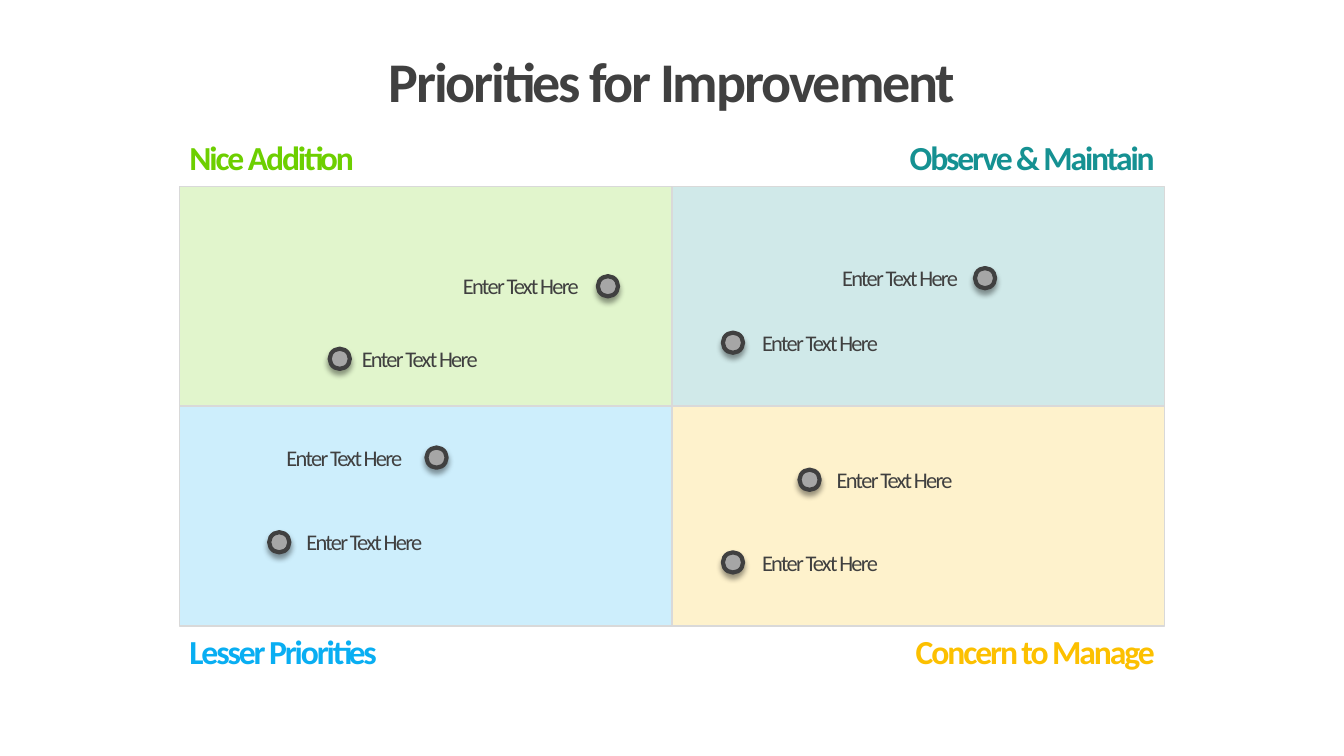
from dataclasses import dataclass

from lxml import etree
from pptx import Presentation
from pptx.dml.color import RGBColor
from pptx.enum.shapes import MSO_SHAPE
from pptx.enum.text import MSO_ANCHOR, MSO_AUTO_SIZE, PP_ALIGN
from pptx.oxml.ns import qn
from pptx.util import Inches, Pt

RECTANGLE, OVAL = MSO_SHAPE.RECTANGLE, MSO_SHAPE.OVAL
LEFT, CENTER, RIGHT = PP_ALIGN.LEFT, PP_ALIGN.CENTER, PP_ALIGN.RIGHT
TOP = MSO_ANCHOR.TOP
FIT_SHAPE = MSO_AUTO_SIZE.SHAPE_TO_FIT_TEXT
TITLE_ONLY = 5


@dataclass(frozen=True)
class Theme:
    font: str = "Calibri"
    ink: str = "404040"
    dot: str = "A6A6A6"
    border: str = "D9D9D9"
    shadow: str = "000000"
    green: str = "6DCF00"
    teal: str = "159192"
    blue: str = "09AEF2"
    yellow: str = "FCC000"
    title_size: int = 40
    heading_size: int = 24
    label_size: int = 16


THEME = Theme()
GRID_LEFT, GRID_TOP = 1.78, 1.85
CELL_WIDTH, CELL_HEIGHT = 4.885, 2.18
HEADING_WIDTH, HEADING_HEIGHT = 2.8, 0.5
HEADING_TOPS = (1.31, 6.21)
LABEL_WIDTH, LABEL_HEIGHT = 2.43, 0.37
DOT_SIZE = 0.2

QUADRANTS = [
    (0, 0, "Nice Addition", THEME.green),
    (0, 1, "Lesser Priorities", THEME.blue),
    (1, 0, "Observe & Maintain", THEME.teal),
    (1, 1, "Concern to Manage", THEME.yellow),
]
# dot left, dot top, label left, label alignment
ITEMS = [
    (5.93, 2.74, 3.41, RIGHT),
    (3.27, 3.46, 3.49, LEFT),
    (4.23, 4.44, 1.66, RIGHT),
    (2.67, 5.28, 2.94, LEFT),
    (7.17, 5.48, 7.46, LEFT),
    (7.93, 4.66, 8.2, LEFT),
    (7.17, 3.3, 7.46, LEFT),
    (9.67, 2.66, 7.17, RIGHT),
]


def write_text(box, text, size, color, align, spacing, bold=False):
    frame = box.text_frame
    frame.text = text
    frame.word_wrap = True
    frame.vertical_anchor = TOP
    frame.auto_size = FIT_SHAPE
    para = frame.paragraphs[0]
    para.alignment = align
    span = para.runs[0]
    span.font.name = THEME.font
    span.font.size = Pt(size)
    span.font.bold = bold
    span.font.color.rgb = RGBColor.from_string(color)
    span.font._element.set("spc", str(round(spacing * 100)))


def add_title(page, text):
    title = page.shapes.title
    title.left, title.top = Inches(3.18), Inches(0.41)
    title.width, title.height = Inches(6.97), Inches(0.77)
    write_text(title, text, THEME.title_size, THEME.ink, CENTER, -1.5, True)


def add_text(page, left, top, width, height, *style):
    box = page.shapes.add_textbox(Inches(left), Inches(top), Inches(width), Inches(height))
    write_text(box, *style)


def add_figure(page, kind, left, top, width, height, fill, line, line_width):
    figure = page.shapes.add_shape(
        kind, Inches(left), Inches(top), Inches(width), Inches(height))
    figure.shadow.inherit = False
    figure.fill.solid()
    figure.fill.fore_color.rgb = RGBColor.from_string(fill)
    figure.line.color.rgb = RGBColor.from_string(line)
    figure.line.width = Pt(line_width)
    return figure


def set_opacity(color, percent):
    etree.SubElement(color, qn("a:alpha"), val=str(percent * 1000))


def add_quadrant(page, column, row, color):
    cell = add_figure(
        page, RECTANGLE, GRID_LEFT + column * CELL_WIDTH, GRID_TOP + row * CELL_HEIGHT,
        CELL_WIDTH, CELL_HEIGHT, color, THEME.border, 1)
    set_opacity(cell._element.spPr.find(qn("a:solidFill")).find(qn("a:srgbClr")), 20)


def add_heading(page, column, row, text, color):
    left = GRID_LEFT + column * (2 * CELL_WIDTH - HEADING_WIDTH)
    add_text(page, left, HEADING_TOPS[row], HEADING_WIDTH, HEADING_HEIGHT,
             text, THEME.heading_size, color, RIGHT if column else LEFT, -1.5, True)


def add_dot(page, left, top):
    dot = add_figure(page, OVAL, left, top, DOT_SIZE, DOT_SIZE, THEME.dot, THEME.ink, 3)
    effects = dot._element.spPr.find(qn("a:effectLst"))
    shadow = etree.SubElement(
        effects, qn("a:outerShdw"), blurRad=str(Pt(4)), dist=str(Pt(3)),
        dir=str(90 * 60000), algn="t", rotWithShape="0")
    set_opacity(etree.SubElement(shadow, qn("a:srgbClr"), val=THEME.shadow), 40)


def add_label(page, left, dot_top, align):
    top = dot_top + (DOT_SIZE - LABEL_HEIGHT) / 2
    add_text(page, left, top, LABEL_WIDTH, LABEL_HEIGHT,
             "Enter Text Here", THEME.label_size, THEME.ink, align, -1.2)


def main():
    deck = Presentation()
    deck.slide_width, deck.slide_height = Inches(13.33), Inches(7.5)
    page = deck.slides.add_slide(deck.slide_layouts[TITLE_ONLY])
    add_title(page, "Priorities for Improvement")
    for column, row, _, color in QUADRANTS:
        add_quadrant(page, column, row, color)
    for column, row, text, color in QUADRANTS:
        add_heading(page, column, row, text, color)
    for dot_left, dot_top, label_left, align in ITEMS:
        add_dot(page, dot_left, dot_top)
        add_label(page, label_left, dot_top, align)
    deck.save("out.pptx")


if __name__ == "__main__":
    main()
